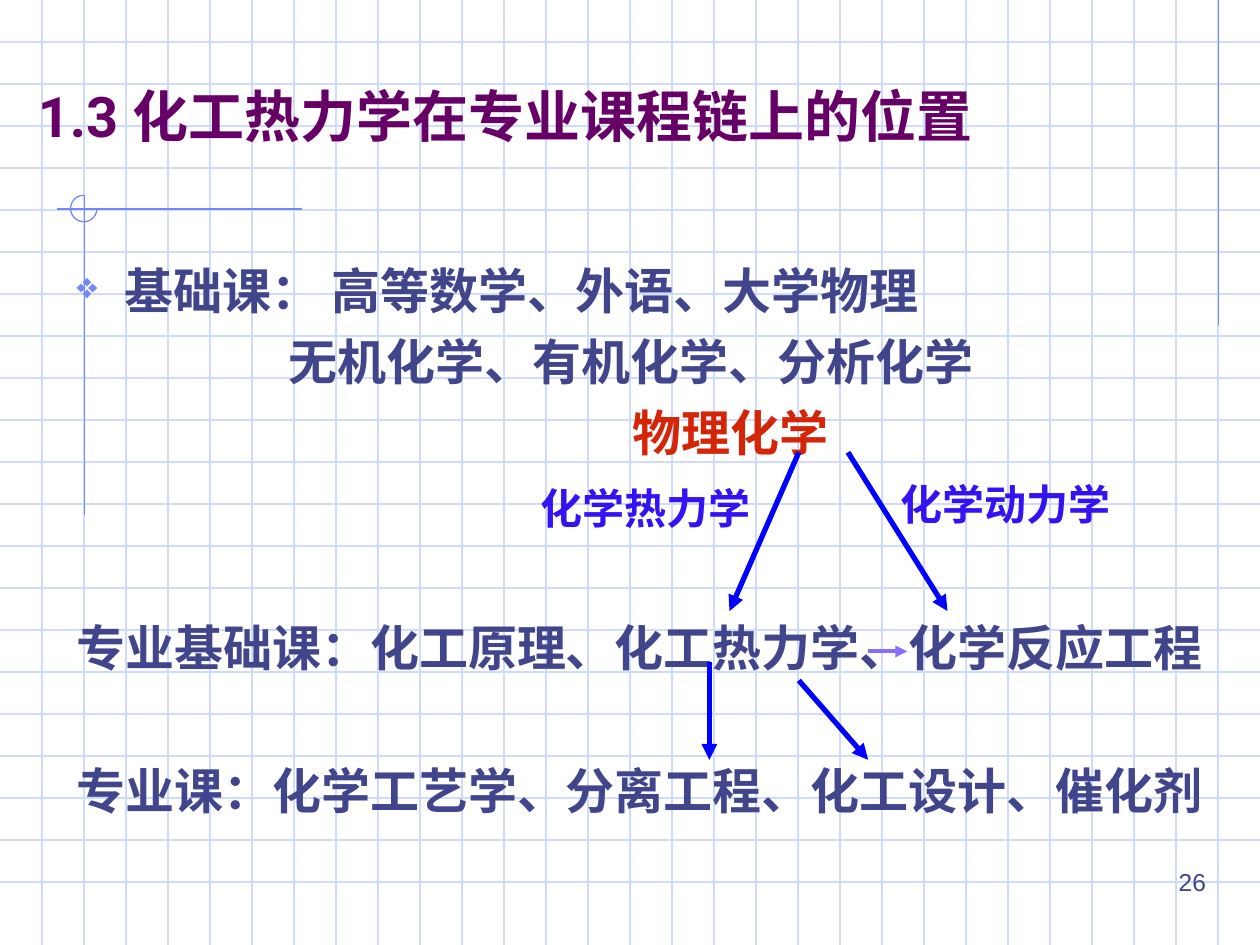
from dataclasses import dataclass

from lxml.etree import SubElement
from pptx import Presentation
from pptx.dml.color import RGBColor
from pptx.enum.shapes import MSO_CONNECTOR, MSO_SHAPE
from pptx.enum.text import MSO_ANCHOR, PP_ALIGN
from pptx.oxml.ns import qn
from pptx.util import Inches, Pt


@dataclass(frozen=True)
class Theme:
    grid: str = "CFDBFD"
    accent: str = "6F89F7"
    title: str = "660066"
    body: str = "40458C"
    highlight: str = "D42508"
    branch: str = "3313F3"
    arrow: str = "0000FF"
    side_arrow: str = "886EF8"
    title_font: str = "Roboto"
    body_font: str = "Arial"
    title_size: int = 32
    body_size: int = 28
    branch_size: int = 24
    number_size: int = 14


THEME = Theme()
WIDTH, HEIGHT = 10, 7.5
GRID_STEP = 1 / 3


def add_line(slide, start, end, color, weight=0.75, arrow=False):
    ends = [Inches(value) for value in (*start, *end)]
    line = slide.shapes.add_connector(MSO_CONNECTOR.STRAIGHT, *ends)
    line.line.color.rgb = RGBColor.from_string(color)
    line.line.width = Pt(weight)
    if arrow:
        SubElement(line.line._get_or_add_ln(), qn("a:tailEnd"), type="triangle")
    SubElement(line._element.spPr, qn("a:effectLst"))


def add_run(paragraph, text, size, color, font=THEME.body_font, bold=True):
    run = paragraph.add_run()
    run.text = text
    run.font.name = font
    run.font.size = Pt(size)
    run.font.bold = bold
    run.font.color.rgb = RGBColor.from_string(color)


def add_text_frame(slide, box, inset=(0.1, 0.05)):
    frame = slide.shapes.add_textbox(*[Inches(value) for value in box]).text_frame
    frame.word_wrap = True
    frame.margin_left = frame.margin_right = Inches(inset[0])
    frame.margin_top = frame.margin_bottom = Inches(inset[1])
    return frame


def set_indent(paragraph, left, first=0):
    properties = paragraph._p.get_or_add_pPr()
    properties.set("marL", str(Inches(left)))
    properties.set("indent", str(Inches(first)))
    return properties


def add_bullet(properties):
    color = SubElement(properties, qn("a:buClr"))
    SubElement(color, qn("a:srgbClr"), val=THEME.accent)
    SubElement(properties, qn("a:buSzPct"), val="75000")
    SubElement(properties, qn("a:buChar"), char="❖")


def add_backdrop(slide):
    for row in range(1, round(HEIGHT / GRID_STEP)):
        y = row * GRID_STEP
        add_line(slide, (0, y), (WIDTH, y), THEME.grid)
    for column in range(1, round(WIDTH / GRID_STEP)):
        x = column * GRID_STEP
        add_line(slide, (x, 0), (x, HEIGHT), THEME.grid)
    add_line(slide, (9.67, 0), (9.67, 2.58), THEME.accent)
    add_line(slide, (2.4, 1.66), (0.45, 1.66), THEME.accent)
    add_line(slide, (0.67, 1.55), (0.67, 4.09), THEME.accent)
    ring = slide.shapes.add_shape(
        MSO_SHAPE.ARC, Inches(0.56), Inches(1.55), Inches(0.21), Inches(0.21))
    ring.adjustments[0], ring.adjustments[1] = 0, 162
    ring.shadow.inherit = False
    ring.fill.background()
    ring.line.color.rgb = RGBColor.from_string(THEME.accent)
    ring.line.width = Pt(0.75)


def add_title(slide, text):
    title = slide.shapes.title
    slide.shapes._spTree.append(title._element)
    title.left, title.top = Inches(0.2), Inches(0.44)
    title.width, title.height = Inches(9.34), Inches(0.94)
    title.text_frame.vertical_anchor = MSO_ANCHOR.MIDDLE
    heading = title.text_frame.paragraphs[0]
    heading.alignment = PP_ALIGN.LEFT
    add_run(heading, text, THEME.title_size, THEME.title, THEME.title_font)


def add_courses(slide):
    courses = [
        ("基础课： 高等数学、外语、大学物理", 0.38, 0, THEME.body),
        ("无机化学、有机化学、分析化学", 1.68, 7, THEME.body),
        ("物理化学", 4.41, 7, THEME.highlight),
        ("专业基础课：化工原理、化工热力学、化学反应工程", 0, 89, THEME.body),
        ("专业课：化学工艺学、分离工程、化工设计、催化剂", 0, 48, THEME.body),
    ]
    frame = add_text_frame(slide, (0.51, 2.02, 9.29, 5.12))
    for index, (text, left, space, color) in enumerate(courses):
        if index == 0:
            paragraph = frame.paragraphs[0]
            add_bullet(set_indent(paragraph, left, -left))
        else:
            paragraph = frame.add_paragraph()
            set_indent(paragraph, left)
            paragraph.space_before = Pt(space)
        add_run(paragraph, text, THEME.body_size, color)


def add_branch(slide, text, box, inset):
    frame = add_text_frame(slide, box, inset)
    add_run(frame.paragraphs[0], text, THEME.branch_size, THEME.branch)


def add_page_number(slide, number):
    paragraph = add_text_frame(slide, (7.17, 6.83, 2.5, 0.52)).paragraphs[0]
    paragraph.alignment = PP_ALIGN.RIGHT
    add_run(paragraph, number, THEME.number_size, THEME.body, bold=False)


def main():
    deck = Presentation()
    deck.slide_width, deck.slide_height = Inches(WIDTH), Inches(HEIGHT)
    slide = deck.slides.add_slide(deck.slide_layouts[5])
    add_backdrop(slide)
    add_page_number(slide, "26")
    add_title(slide, "1.3 化工热力学在专业课程链上的位置")
    add_courses(slide)
    add_branch(slide, "化学热力学", (4.29, 3.83, 1.81, 0.4), (0, 0))
    add_branch(slide, "化学动力学", (7.05, 3.75, 2.13, 0.5), (0.1, 0.05))
    course_links = [
        ((6.34, 3.59), (5.79, 4.85)),
        ((6.73, 3.59), (7.52, 4.85)),
        ((5.63, 5.25), (5.63, 6.03)),
        ((6.34, 5.4), (6.89, 6.03)),
    ]
    for start, end in course_links:
        add_line(slide, start, end, THEME.arrow, 3, arrow=True)
    add_line(slide, (6.89, 5.17), (7.2, 5.17), THEME.side_arrow, 2.25, arrow=True)
    deck.save("out.pptx")


if __name__ == "__main__":
    main()
